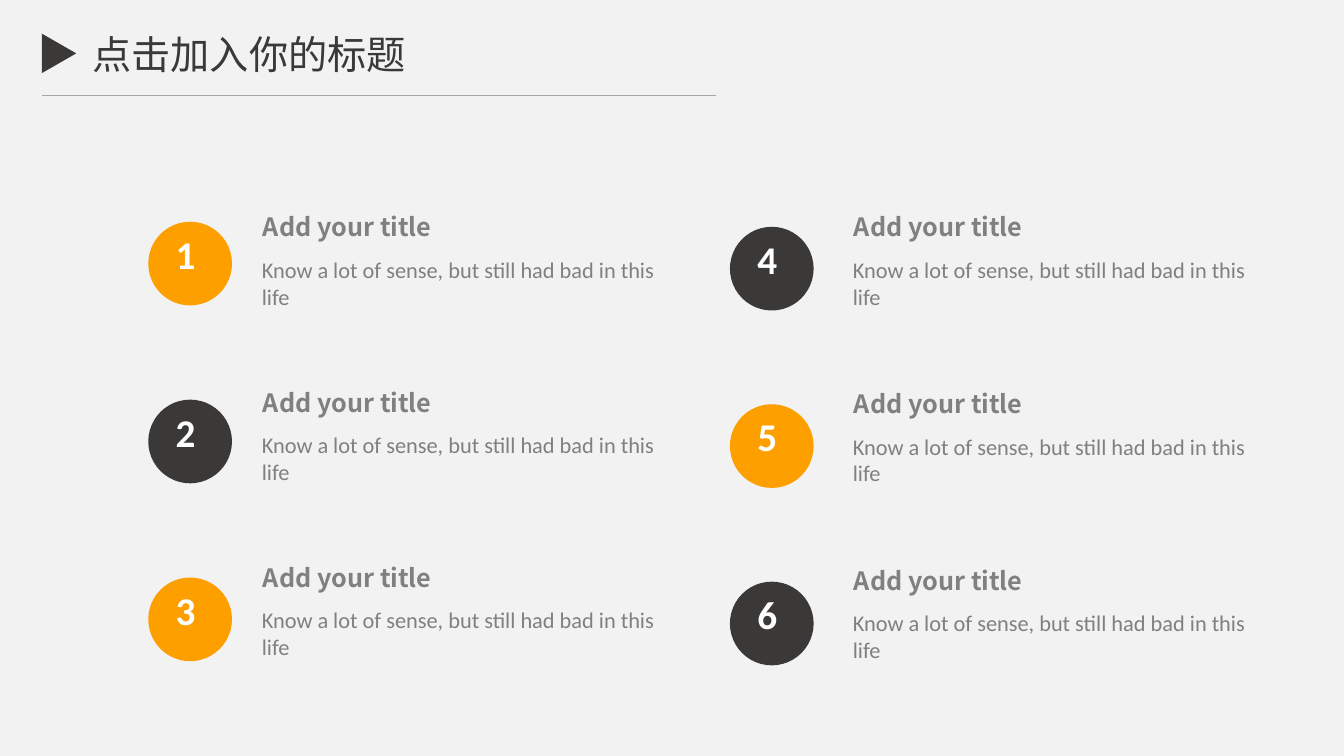
"""Build a slide with a title and six numbered points in two columns."""
from lxml.etree import SubElement
from pptx import Presentation
from pptx.dml.color import RGBColor
from pptx.enum.shapes import MSO_CONNECTOR, MSO_SHAPE
from pptx.enum.text import MSO_ANCHOR, MSO_AUTO_SIZE, PP_ALIGN
from pptx.oxml.ns import qn
from pptx.util import Inches, Pt

ORANGE = RGBColor(0xFE, 0x9F, 0x00)
DARK = RGBColor(0x3B, 0x38, 0x38)
GREY = RGBColor(0x80, 0x80, 0x80)
RULE = RGBColor(0xA6, 0xA6, 0xA6)
WHITE = RGBColor(0xFF, 0xFF, 0xFF)
PAPER = RGBColor(0xF2, 0xF2, 0xF2)
CJK = "Noto Sans CJK SC"

prs = Presentation()
prs.slide_width, prs.slide_height = Inches(13.33), Inches(7.5)
X, Y = prs.slide_width / 100, prs.slide_height / 100


def write(tf, text, size, font, color, bold=False):
    """Put one formatted run in a text frame."""
    tf.word_wrap = True
    tf.auto_size = MSO_AUTO_SIZE.NONE
    tf.vertical_anchor = MSO_ANCHOR.TOP
    r = tf.paragraphs[0].add_run()
    r.text = text
    r.font.size, r.font.bold, r.font.name = Pt(size), bold, font
    r.font.color.rgb = color
    SubElement(r.font._element, qn("a:ea")).set("typeface", font)


def add_solid(kind, x, y, w, h, color):
    """Add a filled shape without outline or shadow."""
    sp = s.shapes.add_shape(kind, int(x), int(y), int(w), int(h))
    sp.shadow.inherit = False
    sp.fill.solid()
    sp.fill.fore_color.rgb = color
    sp.line.fill.background()
    return sp


s = prs.slides.add_slide(prs.slide_layouts[5])
s.background.fill.solid()
s.background.fill.fore_color.rgb = PAPER

title = s.shapes.title
title.left, title.top = int(4.43 * X), int(4 * Y)
title.width, title.height = int(28.21 * X), int(6.27 * Y)
tf = title.text_frame
tf.margin_left = tf.margin_right = tf.margin_top = tf.margin_bottom = 0
tf.paragraphs[0].alignment = PP_ALIGN.CENTER
write(tf, "点击加入你的标题", 28, CJK, DARK)

arrow = add_solid(MSO_SHAPE.ISOSCELES_TRIANGLE, 2.93 * X, 4.8 * Y, 2.93 * X, 4.53 * Y, DARK)
arrow.rotation = 90

rule = s.shapes.add_connector(MSO_CONNECTOR.STRAIGHT, int(3.15 * X), int(12.67 * Y),
                              int(53.26 * X), int(12.67 * Y))
rule.line.color.rgb = RULE
rule.line.width = Pt(0.5)
SubElement(rule._element.spPr, qn("a:effectLst"))

COLUMNS = [
    (11.03, 29.33, 23.53, 18.75, 23.2),
    (54.31, 30, 23.47, 62.72, 23.4),
]
for col, (disc_x, disc_y, disc_step, text_x, text_step) in enumerate(COLUMNS):
    for row in range(3):
        n = 3 * col + row + 1
        y = disc_y + row * disc_step
        add_solid(MSO_SHAPE.OVAL, disc_x * X, y * Y, 6.23 * X, 6.23 * X,
                  ORANGE if n % 2 else DARK)
        text_y = 27.33 + row * text_step
        for left, top, w, h, text, size, font, color, bold in [
            (disc_x + 1.3, y + 0.45, 3.08, 10, str(n), 28, "Calibri", WHITE, True),
            (text_x + 0.08, text_y, 22.43, 5.33, "Add your title", 18, CJK, GREY, True),
            (text_x, text_y + 5.85, 31.06, 8.53,
             "Know a lot of sense, but still had bad in this life", 16, "Calibri", GREY, False),
        ]:
            box = s.shapes.add_textbox(int(left * X), int(top * Y), int(w * X), int(h * Y))
            write(box.text_frame, text, size, font, color, bold)

prs.save("out.pptx")
